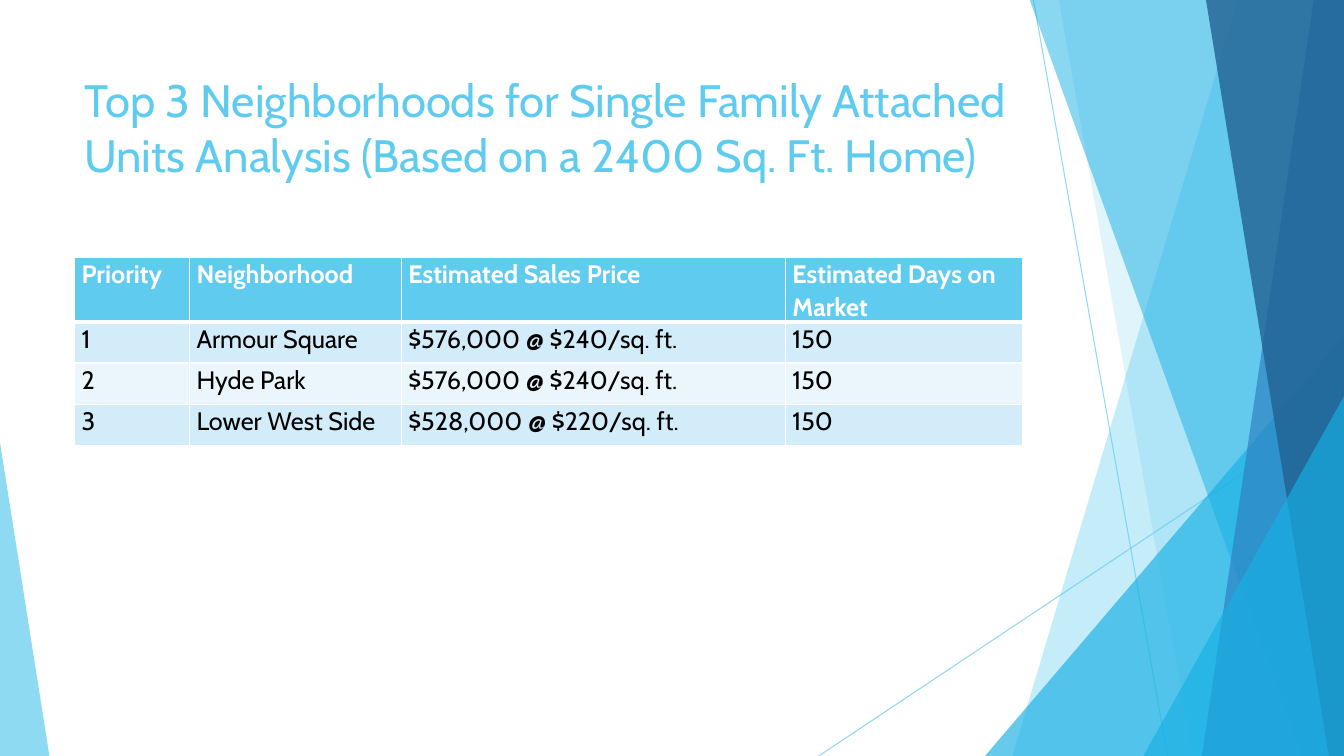
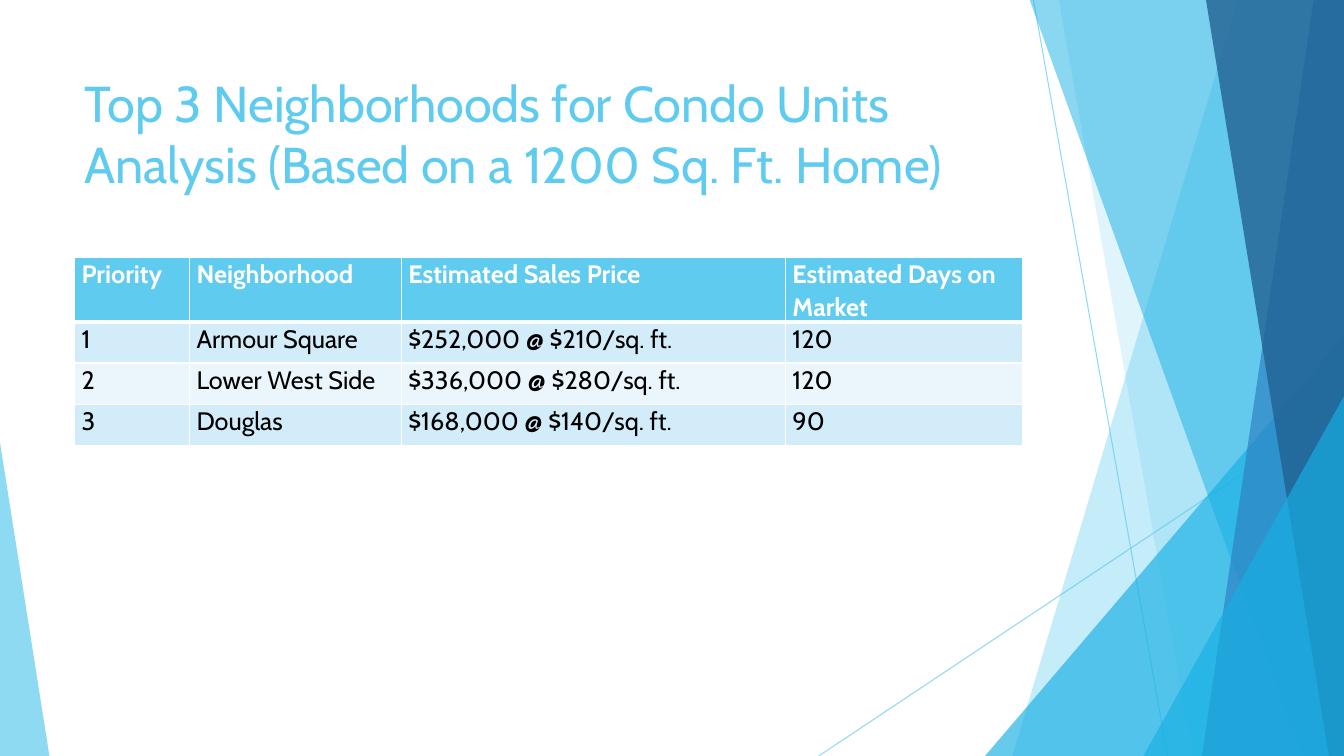
"""Builds two slides that rank neighborhoods by estimated sales price."""
from lxml import etree
from pptx import Presentation
from pptx.dml.color import RGBColor
from pptx.enum.shapes import MSO_CONNECTOR, MSO_SHAPE
from pptx.enum.text import MSO_ANCHOR
from pptx.oxml.ns import qn
from pptx.util import Pt

STRAIGHT = MSO_CONNECTOR.STRAIGHT
TRIANGLE = MSO_SHAPE.ISOSCELES_TRIANGLE
TOP = MSO_ANCHOR.TOP

PX = 9144
WIDTH, HEIGHT = 1333, 750
FONT = "Cabin"
SKY, CYAN, BLUE, NAVY = "5FCBEF", "17B0E4", "2E83C3", "226292"
WHITE, BLACK = "FFFFFF", "000000"
BANDS = ("D2ECF9", "EAF6FC")

TITLE_BOX = (74, 67, 940, 144)
TABLE_LEFT, TABLE_TOP = 74, 255
COLUMNS = (114, 210, 381, 235)
HEADER_HEIGHT, ROW_HEIGHT = 61, 41
CELL_INSET = 7

HEADER = ("Priority", "Neighborhood", "Estimated Sales Price", "Estimated Days on Market")
SLIDES = [
    ("Top 3 Neighborhoods for Single Family Attached Units Analysis (Based on a 2400 Sq. Ft. Home)", 32.4, [
        ("Armour Square", "$576,000 @ $240/sq. ft.", "150"),
        ("Hyde Park", "$576,000 @ $240/sq. ft.", "150"),
        ("Lower West Side", "$528,000 @ $220/sq. ft.", "150"),
    ]),
    ("Top 3 Neighborhoods for Condo Units Analysis (Based on a 1200 Sq. Ft. Home)", 36, [
        ("Armour Square", "$252,000 @ $210/sq. ft.", "120"),
        ("Lower West Side", "$336,000 @ $280/sq. ft.", "120"),
        ("Douglas", "$168,000 @ $140/sq. ft.", "90"),
    ]),
]

RAYS = [(1025, 0, 1158, HEIGHT), (WIDTH, 403, 812, HEIGHT)]
RAY_OPACITY = 70
# Each facet: kind, geometry, colour, opacity
FACETS = [
    ("sheet", (1228, 1004), SKY, 36),
    ("sheet", (1050, 1183), SKY, 20),
    ("wedge", (977, 333, 356, 1), CYAN, 66),
    ("sheet", (1021, 1291), CYAN, 50),
    ("sheet", (1303, 1192), BLUE, 70),
    ("sheet", (1196, 1318), NAVY, 80),
    ("wedge", (1134, 393, 199, 1), CYAN, 66),
    ("wedge", (0, 439, 49, 0), SKY, 70),
]


def px(*lengths):
    return [length * PX for length in lengths]


def paint(fill, color, opacity=100):
    fill.solid()
    fill.fore_color.rgb = RGBColor.from_string(color)
    if opacity < 100:
        color_node = fill._xPr.find(qn("a:solidFill"))[0]
        etree.SubElement(color_node, qn("a:alpha"), val=str(opacity * 1000))


def style(paragraph, size, color, bold=False):
    font = paragraph.font
    font.name, font.size, font.bold = FONT, Pt(size), bold
    font.color.rgb = RGBColor.from_string(color)


def add_ray(slide, ends):
    ray = slide.shapes.add_connector(STRAIGHT, *px(*ends))
    ray.line.width = Pt(0.75)
    paint(ray.line.fill, SKY, RAY_OPACITY)
    etree.SubElement(ray._element.spPr, qn("a:effectLst"))


def add_sheet(slide, top_x, bottom_x):
    outline = slide.shapes.build_freeform(top_x, -1, scale=PX)
    outline.add_line_segments([(WIDTH, -1), (WIDTH, HEIGHT), (bottom_x, HEIGHT)])
    return outline.convert_to_shape()


def add_wedge(slide, left, top, width, apex):
    wedge = slide.shapes.add_shape(TRIANGLE, *px(left, top, width, HEIGHT - top))
    wedge.adjustments[0] = apex
    return wedge


def add_backdrop(slide):
    for ends in RAYS:
        add_ray(slide, ends)
    builders = {"sheet": add_sheet, "wedge": add_wedge}
    for kind, geometry, color, opacity in FACETS:
        facet = builders[kind](slide, *geometry)
        paint(facet.fill, color, opacity)
        facet.line.fill.background()
        facet.shadow.inherit = False


def add_title(slide, text, size):
    frame = slide.shapes.add_textbox(*px(*TITLE_BOX)).text_frame
    frame.word_wrap = True
    frame.vertical_anchor = TOP
    frame.text = text
    style(frame.paragraphs[0], size, SKY)


def add_borders(cell, top, bottom):
    properties = cell._tc.get_or_add_tcPr()
    for side, points in (("L", 1), ("R", 1), ("T", top), ("B", bottom)):
        border = etree.SubElement(properties, qn(f"a:ln{side}"), w=str(Pt(points)))
        fill = etree.SubElement(border, qn("a:solidFill"))
        etree.SubElement(fill, qn("a:srgbClr"), val=WHITE)


def fill_cell(cell, text, row):
    is_header = row == 0
    add_borders(cell, top=3 if row == 1 else 1, bottom=3 if is_header else 1)
    paint(cell.fill, SKY if is_header else BANDS[(row - 1) % 2])
    cell.margin_left = cell.margin_right = CELL_INSET * PX
    cell.margin_top = cell.margin_bottom = 0
    cell.text = text
    paragraph = cell.text_frame.paragraphs[0]
    paragraph.line_spacing = 1.07
    paragraph.space_after = Pt(8)
    style(paragraph, 18, WHITE if is_header else BLACK, is_header)


def add_ranking(slide, homes):
    rows = [HEADER] + [(str(rank), *home) for rank, home in enumerate(homes, 1)]
    height = HEADER_HEIGHT + ROW_HEIGHT * len(homes)
    box = px(TABLE_LEFT, TABLE_TOP, sum(COLUMNS), height)
    table = slide.shapes.add_table(len(rows), len(COLUMNS), *box).table
    for column, width in zip(table.columns, COLUMNS):
        column.width = width * PX
    for row, values in enumerate(rows):
        table.rows[row].height = (ROW_HEIGHT if row else HEADER_HEIGHT) * PX
        for column, text in enumerate(values):
            fill_cell(table.cell(row, column), text, row)


def main():
    deck = Presentation()
    deck.slide_width, deck.slide_height = px(WIDTH, HEIGHT)
    blank = deck.slide_layouts[6]
    for title, size, homes in SLIDES:
        slide = deck.slides.add_slide(blank)
        add_backdrop(slide)
        add_title(slide, title, size)
        add_ranking(slide, homes)
    deck.save("out.pptx")


if __name__ == "__main__":
    main()
